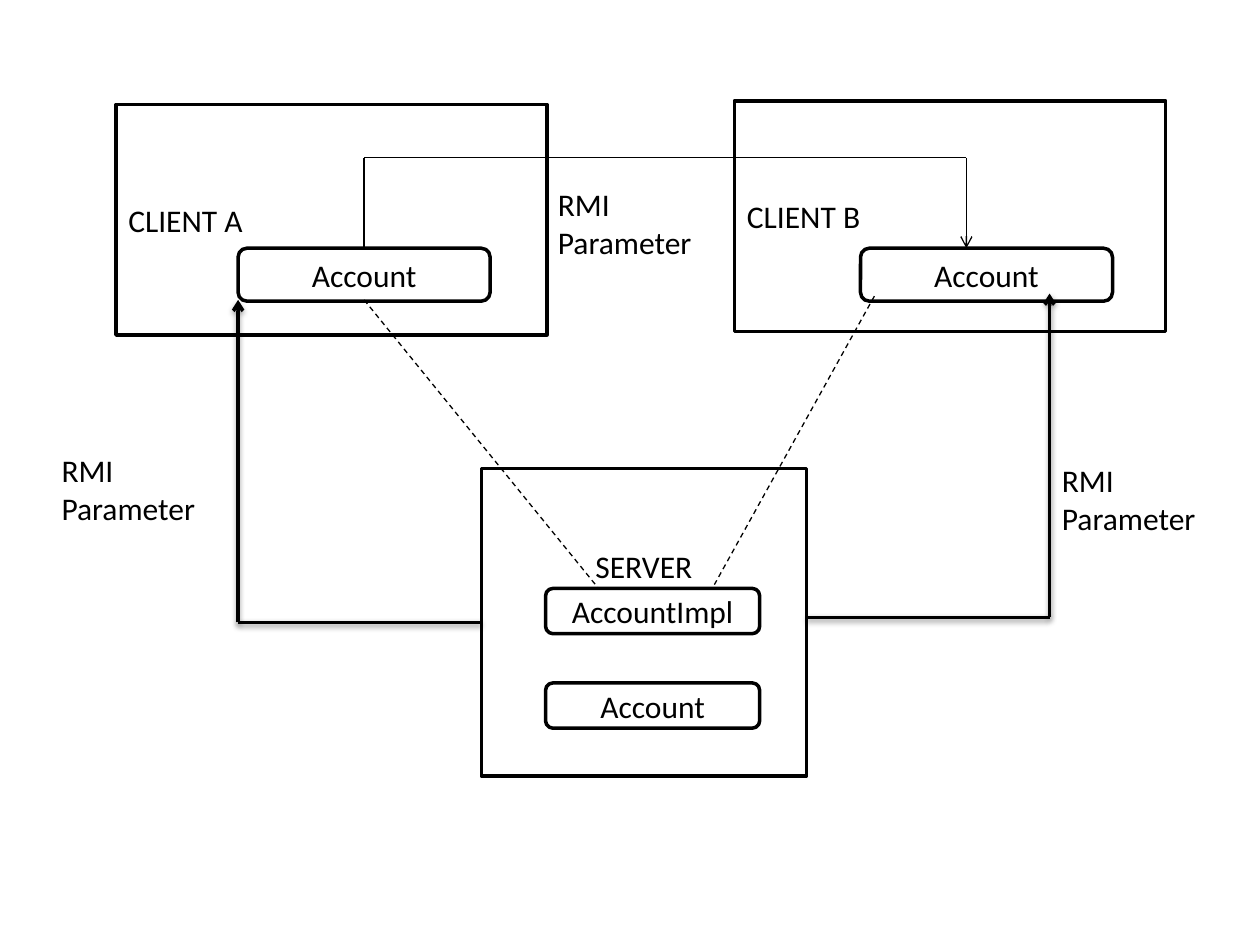
from dataclasses import dataclass

from lxml.etree import SubElement
from pptx import Presentation
from pptx.dml.color import RGBColor
from pptx.enum.dml import MSO_LINE
from pptx.enum.shapes import MSO_CONNECTOR, MSO_SHAPE
from pptx.enum.text import MSO_ANCHOR, MSO_AUTO_SIZE, PP_ALIGN
from pptx.oxml.ns import qn
from pptx.util import Inches, Pt


@dataclass(frozen=True)
class Theme:
    ink: RGBColor = RGBColor(0, 0, 0)
    paper: RGBColor = RGBColor(255, 255, 255)
    font: str = "Calibri"
    size: float = 18
    thin: float = 0.75
    thick: float = 2


class Diagram:
    def __init__(self, slide, theme):
        self.s = slide
        self.theme = theme

    def set_text(self, tf, text, align):
        tf.word_wrap = True
        p = tf.paragraphs[0]
        p.text = text
        p.alignment = align
        p.font.name = self.theme.font
        p.font.size = Pt(self.theme.size)
        p.font.color.rgb = self.theme.ink

    def box(self, text, x, y, w, h, kind=MSO_SHAPE.RECTANGLE,
            align=PP_ALIGN.LEFT, bottom=0.05):
        sp = self.s.shapes.add_shape(kind, Inches(x), Inches(y), Inches(w), Inches(h))
        sp.shadow.inherit = False
        sp.fill.solid()
        sp.fill.fore_color.rgb = self.theme.paper
        sp.line.color.rgb = self.theme.ink
        sp.line.width = Pt(self.theme.thick)
        tf = sp.text_frame
        tf.vertical_anchor = MSO_ANCHOR.MIDDLE
        tf.margin_bottom = Inches(bottom)
        self.set_text(tf, text, align)

    def pill(self, text, x, y, w, h):
        self.box(text, x, y, w, h, MSO_SHAPE.ROUNDED_RECTANGLE, PP_ALIGN.CENTER)

    def label(self, text, x, y, w=1.5, h=0.71):
        sp = self.s.shapes.add_textbox(Inches(x), Inches(y), Inches(w), Inches(h))
        self.set_text(sp.text_frame, text, PP_ALIGN.LEFT)
        sp.text_frame.auto_size = MSO_AUTO_SIZE.SHAPE_TO_FIT_TEXT

    def line(self, start, end, thick=False, dashed=False, arrow=False):
        ends = [Inches(v) for v in (*start, *end)]
        c = self.s.shapes.add_connector(MSO_CONNECTOR.STRAIGHT, *ends)
        c.line.color.rgb = self.theme.ink
        c.line.width = Pt(self.theme.thick if thick else self.theme.thin)
        if dashed:
            c.line.dash_style = MSO_LINE.DASH
        sp_pr = c._element.spPr
        if arrow:
            SubElement(sp_pr.find(qn("a:ln")), qn("a:tailEnd"), type="arrow")
        effects = SubElement(sp_pr, qn("a:effectLst"))
        if thick:
            shadow = SubElement(effects, qn("a:outerShdw"), blurRad=str(Pt(3.1)),
                                dist=str(Pt(1.6)), dir="5400000", rotWithShape="0")
            color = SubElement(shadow, qn("a:srgbClr"), val=str(self.theme.ink))
            SubElement(color, qn("a:alpha"), val="38000")

    def route(self, *points, thick=False):
        """Straight segments through the points, ending in an arrow."""
        for start, end in zip(points, points[1:]):
            self.line(start, end, thick=thick, arrow=end == points[-1])


prs = Presentation()
prs.slide_width, prs.slide_height = Inches(10), Inches(7.5)
d = Diagram(prs.slides.add_slide(prs.slide_layouts[6]), Theme())

# Clients, each with its account
for name, x, y, account_x in (("CLIENT A", 0.92, 0.83, 1.89),
                              ("CLIENT B", 5.83, 0.8, 6.83)):
    d.box(name, x, y, 3.42, 1.83)
    d.pill("Account", account_x, 1.97, 2, 0.42)

# Server, with its title raised above the objects
d.box("SERVER", 3.82, 3.72, 2.58, 2.44, align=PP_ALIGN.CENTER, bottom=0.95)
for name, y in (("AccountImpl", 4.67), ("Account", 5.42)):
    d.pill(name, 4.33, y, 1.7, 0.36)

# Call from client to client
d.route((2.89, 1.97), (2.89, 1.25), (7.67, 1.25), (7.67, 1.97))

# References to the implementation
d.line((2.89, 2.38), (4.75, 4.67), dashed=True)
d.line((6.94, 2.35), (5.67, 4.64), dashed=True)

# Calls from the server to the clients
d.route((3.82, 4.94), (1.89, 4.94), (1.89, 2.38), thick=True)
d.route((6.4, 4.9), (8.33, 4.9), (8.33, 2.33), thick=True)

# Call labels
for x, y in ((4.33, 1.42), (0.39, 3.53), (8.33, 3.61)):
    d.label("RMI Parameter", x, y)

prs.save("out.pptx")
